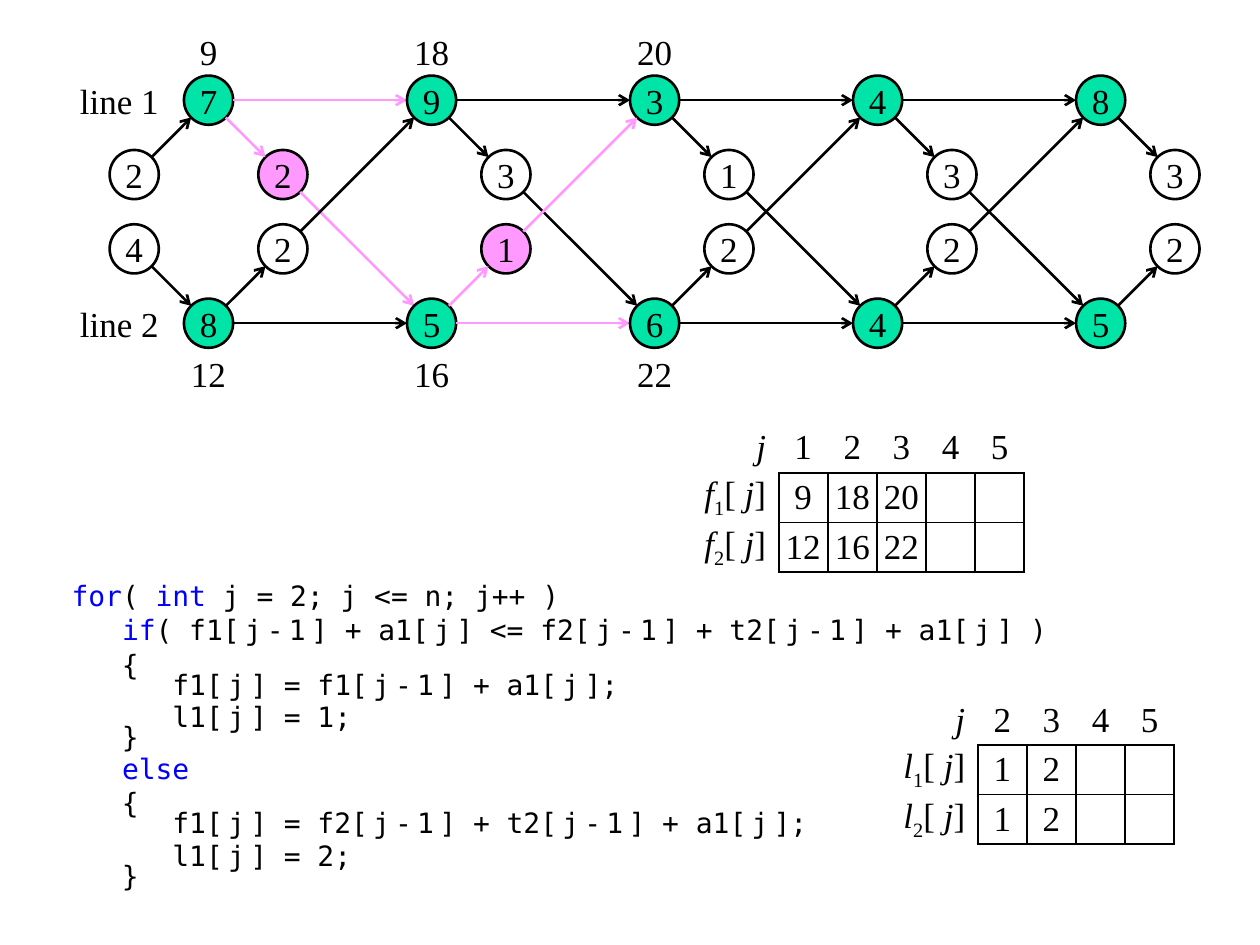
import math

import lxml.etree
import pptx
import pptx.dml.color
import pptx.enum.shapes
import pptx.enum.text
import pptx.oxml.ns
import pptx.util

Inches, Pt = pptx.util.Inches, pptx.util.Pt
ALIGN = pptx.enum.text.PP_ALIGN
qn = pptx.oxml.ns.qn
COLORS = {"ink": "000000", "station": "00E4A8", "choice": "FF99FF", "keyword": "0000FF"}
SERIF, MONO = "Times New Roman", "DejaVu Sans Mono"

# Assembly lines: each list runs from the first station to the last
STATIONS = {1: [7, 9, 3, 4, 8], 2: [8, 5, 6, 4, 5]}
TRANSFERS = {1: [2, 3, 1, 3, 3], 2: [2, 1, 2, 2, 2]}  # the last one is the exit
ENTRIES = {1: 2, 2: 4}
TOTALS = {1: [9, 18, 20], 2: [12, 16, 22]}
STATION_ROW, TRANSFER_ROW = {1: 0, 2: 3}, {1: 1, 2: 2}
TOTAL_TOP = {1: 0.21, 2: 2.77}

# Grid cells are (column, row)
CHOSEN_TRANSFERS = {(2, 1), (5, 2)}
CHOSEN_ARROWS = {
    ((1, 0), (4, 0)), ((1, 0), (2, 1)), ((2, 1), (4, 3)),
    ((4, 3), (7, 3)), ((4, 3), (5, 2)), ((5, 2), (7, 0)),
}
GRID_LEFT, GRID_TOP, STEP, SIZE = 0.87, 0.6, 0.59, 0.39

# Tables: position, name, column heads, values of rows 1 and 2
TABLES = [
    (5.39, 3.36, "f", [1, 2, 3, 4, 5], [[9, 18, 20, "", ""], [12, 16, 22, "", ""]]),
    (6.97, 5.52, "l", [2, 3, 4, 5], [[1, 2, "", ""], [1, 2, "", ""]]),
]
HEAD_WIDTH, TABLE_HEIGHT = 0.79, 1.18

# Code: line spacing and text, with | between differently formatted parts
KEYWORDS = {"for", "int", "if", "else"}
CODE = [
    (1, "for|( |int| j = 2; j <= n; j++ )"),
    (1, "   |if|( f1|[j-1|] + a1|[j|] <= f2|[j-1|] + t2|[j-1|] + a1|[j|] )"),
    (1, "   {"),
    (0.5, "      f1|[j|] = f1|[j-1|] + a1|[j|];"),
    (1, "      l1|[j|] = 1;"),
    (0.5, "   }"),
    (1, "   |else"),
    (1, "   {"),
    (0.5, "      f1|[j|] = f2|[j-1|] + t2|[j-1|] + a1|[j|];"),
    (1, "      l1|[j|] = 2;"),
    (0.5, "   }"),
]


def rgb(name):
    return pptx.dml.color.RGBColor.from_string(COLORS[name])


def add_run(para, text, size=20, font=SERIF, color="ink", italic=False):
    run = para.add_run()
    run.text = str(text)
    run.font.size, run.font.name, run.font.italic = Pt(size), font, italic
    run.font.color.rgb = rgb(color)
    return run


def write_label(shape, text, align=ALIGN.CENTER):
    frame = shape.text_frame
    frame.word_wrap = False
    frame.vertical_anchor = pptx.enum.text.MSO_ANCHOR.MIDDLE
    frame.margin_left = frame.margin_right = frame.margin_top = frame.margin_bottom = 0
    frame.paragraphs[0].alignment = align
    add_run(frame.paragraphs[0], text)


def add_label(slide, left, top, width, text, align=ALIGN.CENTER):
    box = slide.shapes.add_textbox(Inches(left), Inches(top), Inches(width), Inches(SIZE))
    write_label(box, text, align)


def corner(cell):
    return GRID_LEFT + STEP * cell[0], GRID_TOP + STEP * cell[1]


def add_circle(slide, cell, value, fill=None):
    left, top = corner(cell)
    circle = slide.shapes.add_shape(
        pptx.enum.shapes.MSO_SHAPE.OVAL, Inches(left), Inches(top), Inches(SIZE), Inches(SIZE))
    circle.shadow.inherit = False
    if fill:
        circle.fill.solid()
        circle.fill.fore_color.rgb = rgb(fill)
    else:
        circle.fill.background()
    circle.line.color.rgb = rgb("ink")
    circle.line.width = Pt(1.5)
    write_label(circle, value)


def add_arrow(slide, start, end):
    """Draw an arrow from rim to rim of the circles in two grid cells."""
    radius = SIZE / 2
    (x1, y1), (x2, y2) = [(x + radius, y + radius) for x, y in map(corner, (start, end))]
    length = math.hypot(x2 - x1, y2 - y1)
    dx, dy = radius * (x2 - x1) / length, radius * (y2 - y1) / length
    arrow = slide.shapes.add_connector(
        pptx.enum.shapes.MSO_CONNECTOR.STRAIGHT,
        Inches(x1 + dx), Inches(y1 + dy), Inches(x2 - dx), Inches(y2 - dy))
    arrow.line.color.rgb = rgb("choice" if (start, end) in CHOSEN_ARROWS else "ink")
    arrow.line.width = Pt(1.5)
    properties = arrow._element.spPr
    lxml.etree.SubElement(properties.find(qn("a:ln")), qn("a:tailEnd"), type="arrow")
    lxml.etree.SubElement(properties, qn("a:effectLst"))


def add_assembly_lines(slide):
    for line, other in ((1, 2), (2, 1)):
        row, transfer_row = STATION_ROW[line], TRANSFER_ROW[line]
        add_label(slide, 0.47, corner((0, row))[1], 0.79, f"line {line}", ALIGN.RIGHT)
        add_circle(slide, (0, transfer_row), ENTRIES[line])
        add_arrow(slide, (0, transfer_row), (1, row))
        for index, (work, move) in enumerate(zip(STATIONS[line], TRANSFERS[line])):
            station, transfer = (1 + 3 * index, row), (2 + 3 * index, transfer_row)
            add_circle(slide, station, work, "station")
            add_circle(slide, transfer, move, "choice" if transfer in CHOSEN_TRANSFERS else None)
            add_arrow(slide, station, transfer)
            if index < len(STATIONS[line]) - 1:
                add_arrow(slide, station, (station[0] + 3, row))
                add_arrow(slide, transfer, (station[0] + 3, STATION_ROW[other]))
        for index, total in enumerate(TOTALS[line]):
            add_label(slide, corner((1 + 3 * index, row))[0], TOTAL_TOP[line], SIZE, total)


def set_borders(cell, widths):
    """Set left, right, top and bottom border widths in points."""
    properties = cell._tc.get_or_add_tcPr()
    for index, (side, width) in enumerate(zip("LRTB", widths)):
        border = lxml.etree.Element(qn(f"a:ln{side}"), w=str(int(Pt(width))))
        fill = lxml.etree.SubElement(border, qn("a:solidFill"))
        lxml.etree.SubElement(fill, qn("a:srgbClr"), val=COLORS["ink"])
        properties.insert(index, border)


def add_value_table(slide, left, top, name, heads, values):
    count = len(heads)
    table = slide.shapes.add_table(
        3, count + 1, Inches(left), Inches(top),
        Inches(HEAD_WIDTH + SIZE * count), Inches(TABLE_HEIGHT)).table
    table.first_row = table.horz_banding = False
    for index, column in enumerate(table.columns):
        column.width = Inches(SIZE if index else HEAD_WIDTH)
    rows = [["j", *heads], [(name, 1), *values[0]], [(name, 2), *values[1]]]
    for r, row in enumerate(rows):
        for c, value in enumerate(row):
            cell = table.cell(r, c)
            cell.fill.background()
            cell.vertical_anchor = pptx.enum.text.MSO_ANCHOR.MIDDLE
            cell.margin_top = cell.margin_bottom = 0
            cell.margin_left = cell.margin_right = Inches(0 if r and c else 0.1)
            para = cell.text_frame.paragraphs[0]
            para.alignment = ALIGN.CENTER if c else ALIGN.RIGHT
            if isinstance(value, tuple):
                add_run(para, value[0], italic=True)
                add_run(para, value[1]).font._element.set("baseline", "-25000")
                add_run(para, "[ ")
                add_run(para, "j", italic=True)
                add_run(para, "]")
            elif value != "":
                add_run(para, value, italic=value == "j")
            if r and c:
                outer = (c == 1, c == count, r == 1, r == 2)
                set_borders(cell, [1.5 if edge else 1 for edge in outer])


def add_code(slide):
    box = slide.shapes.add_textbox(Inches(0.47), Inches(4.54), Inches(8.07), Inches(2.56))
    frame = box.text_frame
    frame.word_wrap = True
    for index, (spacing, line) in enumerate(CODE):
        para = frame.add_paragraph() if index else frame.paragraphs[0]
        para.line_spacing = float(spacing)
        para.space_before = Pt(0.5 if index else 0)
        for part in line.split("|"):
            run = add_run(para, part, 16, MONO, "keyword" if part in KEYWORDS else "ink")
            if part.startswith("["):
                run.font._element.set("spc", "300")


def main():
    deck = pptx.Presentation()
    deck.slide_width, deck.slide_height = Inches(10), Inches(7.5)
    slide = deck.slides.add_slide(deck.slide_layouts[6])
    add_code(slide)
    add_assembly_lines(slide)
    for entry in TABLES:
        add_value_table(slide, *entry)
    deck.save("out.pptx")


if __name__ == "__main__":
    main()
